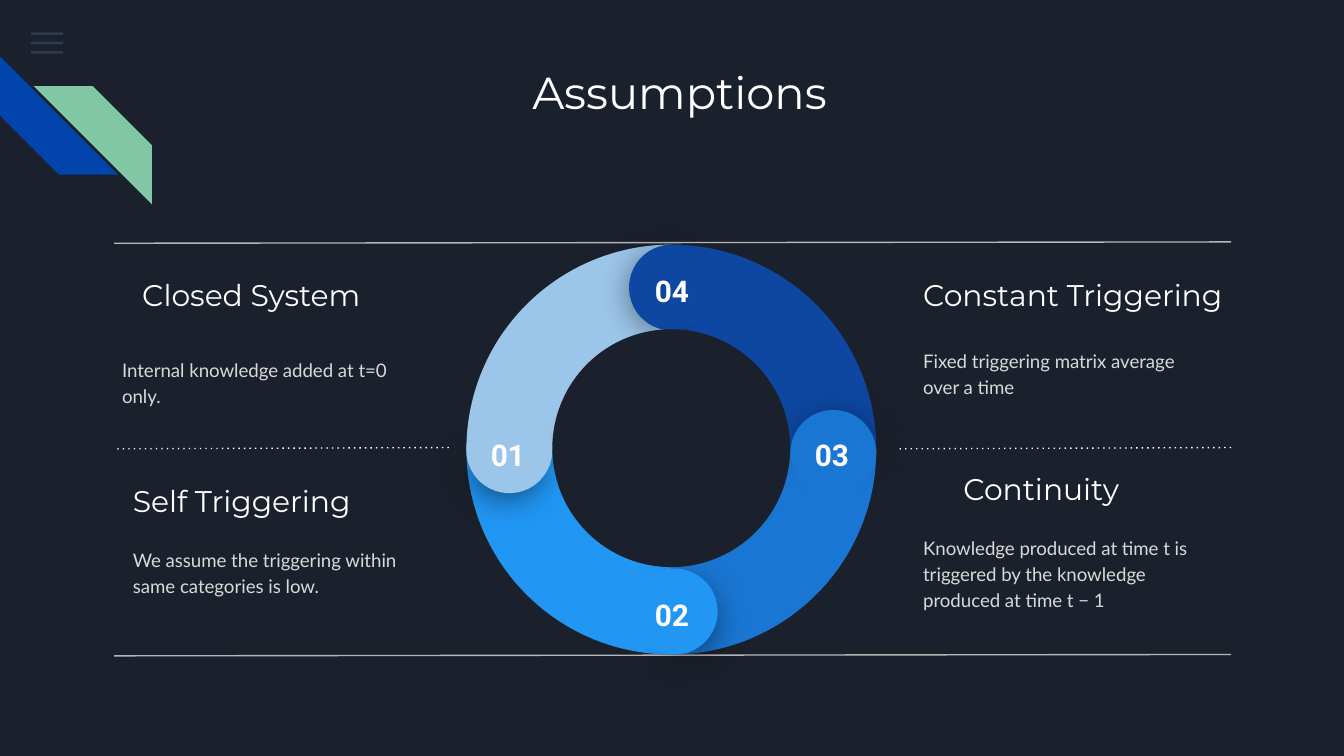
from typing import NamedTuple

from lxml import etree
from pptx import Presentation
from pptx.dml.color import RGBColor
from pptx.enum import shapes, text
from pptx.oxml.ns import qn
from pptx.util import Inches, Pt

NIGHT = RGBColor(0x1B, 0x21, 0x2C)
SLATE = RGBColor(0x55, 0x68, 0x8B)
COBALT = RGBColor(0x01, 0x45, 0xAC)
MINT = RGBColor(0x82, 0xC7, 0xA5)
WHITE = RGBColor(0xFF, 0xFF, 0xFF)
SILVER = RGBColor(0xD9, 0xD9, 0xD9)
GREY = RGBColor(0xB7, 0xB7, 0xB7)
SKY = RGBColor(0x9B, 0xC5, 0xE9)
NAVY = RGBColor(0x0D, 0x47, 0xA1)
BLUE = RGBColor(0x19, 0x76, 0xD2)
AZURE = RGBColor(0x21, 0x96, 0xF3)

SHAPE = shapes.MSO_SHAPE
RING = (3.47, 1.82, 3.05, 3.05)
QUARTER = (107.957, 162.013)
CAP = (189.535, 83.81)
RIGHT_CAP = (196.87, 77.71)
CAP_CHORD = (25.006, 18.12)
CAP_SIZE, CHORD_SIZE = 0.57, 0.64

Box = tuple[float, float, float, float]
Point = tuple[float, float]


class Assumption(NamedTuple):
    heading: str
    heading_box: Box
    body: str
    body_box: Box


class Segment(NamedTuple):
    label: str
    color: RGBColor
    turn: int
    cap: Point
    chord: Point
    label_at: Point
    cap_angles: Point = CAP


ASSUMPTIONS = [
    Assumption("Closed System", (0.96, 1.95, 2.03, 0.49),
               "Internal knowledge added at t=0 only.", (0.81, 2.46, 2.18, 0.76)),
    Assumption("Self Triggering", (0.89, 3.48, 2.03, 0.49),
               "We assume the triggering within same categories is low.",
               (0.89, 3.87, 2.18, 0.76)),
    Assumption("Constant Triggering", (6.77, 1.95, 2.57, 0.49),
               "Fixed triggering matrix average over a time", (6.77, 2.39, 2.18, 0.76)),
    Assumption("Continuity", (7.07, 3.39, 2.03, 0.49),
               "Knowledge produced at time t is triggered by the knowledge "
               "produced at time t − 1", (6.77, 3.88, 2.18, 0.76)),
]

SEGMENTS = [
    Segment("01", SKY, 0, (3.48, 3.07), (3.47, 3.03), (3.5, 3.15)),
    Segment("02", AZURE, 270, (4.74, 4.28), (4.7, 4.23), (4.72, 4.34)),
    Segment("03", BLUE, 180, (5.93, 3.07), (5.88, 3.05), (5.91, 3.15), RIGHT_CAP),
    Segment("04", NAVY, 90, (4.7, 1.83), (4.68, 1.82), (4.72, 1.93)),
]


def add_filled(s, kind, box: Box, color: RGBColor, *, turn: float = 0,
               adjust: tuple[float, ...] = ()):
    sp = s.shapes.add_shape(kind, *map(Inches, box))
    sp.shadow.inherit = False
    sp.fill.solid()
    sp.fill.fore_color.rgb = color
    sp.line.fill.background()
    sp.rotation = turn
    for i, value in enumerate(adjust):
        sp.adjustments[i] = value
    return sp


def set_alpha(color_element, percent: int) -> None:
    etree.SubElement(color_element, qn("a:alpha")).set("val", str(percent * 1000))


def add_shadow(sp) -> None:
    """Give the shape a soft black shadow straight below it."""
    effects = sp._element.spPr.find(qn("a:effectLst"))
    shadow = etree.SubElement(effects, qn("a:outerShdw"), blurRad=str(Pt(18)),
                              dist=str(Pt(4)), dir="5400000", algn="bl",
                              rotWithShape="0")
    set_alpha(etree.SubElement(shadow, qn("a:srgbClr"), val="000000"), 55)


def add_text(s, content: str, box: Box, *, font: str, size: float,
             color: RGBColor = WHITE, bold: bool = False,
             align=text.PP_ALIGN.LEFT, anchor=text.MSO_ANCHOR.TOP,
             line_spacing: float = 1.0, after: float = 0) -> None:
    tf = s.shapes.add_textbox(*map(Inches, box)).text_frame
    tf.word_wrap = True
    tf.vertical_anchor = anchor
    tf.margin_left = tf.margin_right = tf.margin_top = tf.margin_bottom = Inches(0.1)
    p = tf.paragraphs[0]
    p.alignment = align
    p.line_spacing = line_spacing
    p.space_after = Pt(after)
    r = p.add_run()
    r.text = content
    r.font.name, r.font.size, r.font.bold = font, Pt(size), bold
    r.font.color.rgb = color


def add_rule(s, left: float, right: float, y: float, color: RGBColor,
             dotted: bool = False) -> None:
    """Draw a divider that rises slightly to the right."""
    c = s.shapes.add_connector(shapes.MSO_CONNECTOR.STRAIGHT, Inches(right), Inches(y),
                               Inches(left), Inches(y + 0.01))
    c.line.color.rgb = color
    c.line.width = Pt(0.75)
    if dotted:
        ln = c._element.spPr.find(qn("a:ln"))
        etree.SubElement(ln, qn("a:prstDash")).set("val", "dot")
    etree.SubElement(c._element.spPr, qn("a:effectLst"))


def add_corner_decoration(s) -> None:
    for i in range(3):
        bar = add_filled(s, SHAPE.RECTANGLE, (0.23, 0.24 + 0.07 * i, 0.24, 0.02), SLATE)
        set_alpha(bar._element.spPr.find(".//" + qn("a:srgbClr")), 36)
    for left, top, color, turn in ((0, 0.42, COBALT, 270), (0.25, 0.64, MINT, 90)):
        add_filled(s, SHAPE.DIAGONAL_STRIPE, (left, top, 0.88, 0.88), color,
                   turn=turn, adjust=(0.5,))


def add_ring(s) -> None:
    for seg in SEGMENTS:
        add_filled(s, SHAPE.PIE, RING, seg.color, turn=seg.turn, adjust=QUARTER)
    for seg in SEGMENTS:
        cap = add_filled(s, SHAPE.PIE, (*seg.cap, CAP_SIZE, CAP_SIZE), seg.color,
                         turn=(seg.turn + 39.5) % 360, adjust=seg.cap_angles)
        add_shadow(cap)
        add_filled(s, SHAPE.CHORD, (*seg.chord, CHORD_SIZE, CHORD_SIZE), seg.color,
                   turn=(seg.turn + 4.1) % 360, adjust=CAP_CHORD)
        add_text(s, seg.label, (*seg.label_at, 0.56, 0.29), font="Roboto", size=16,
                 bold=True, align=text.PP_ALIGN.CENTER)
    add_filled(s, SHAPE.OVAL, (4.11, 2.45, 1.77, 1.77), NIGHT)


def main() -> None:
    prs = Presentation()
    prs.slide_width = Inches(10)
    prs.slide_height = prs.slide_width * 9 // 16
    s = prs.slides.add_slide(prs.slide_layouts[6])
    s.background.fill.solid()
    s.background.fill.fore_color.rgb = NIGHT

    add_corner_decoration(s)
    add_text(s, "Assumptions ", (1.25, 0.38, 7.7, 1), font="Montserrat", size=24,
             align=text.PP_ALIGN.CENTER)
    for item in ASSUMPTIONS:
        add_text(s, item.heading, item.heading_box, font="Montserrat", size=16,
                 anchor=text.MSO_ANCHOR.MIDDLE)
        add_text(s, item.body, item.body_box, font="Lato", size=10, color=SILVER,
                 anchor=text.MSO_ANCHOR.MIDDLE, line_spacing=1.15, after=16)
    for y in (1.8, 4.87):
        add_rule(s, 0.85, 9.16, y, GREY)
    for left, right in ((0.85, 3.34), (6.67, 9.16)):
        add_rule(s, left, right, 3.33, WHITE, dotted=True)
    add_ring(s)
    prs.save("out.pptx")


if __name__ == "__main__":
    main()
